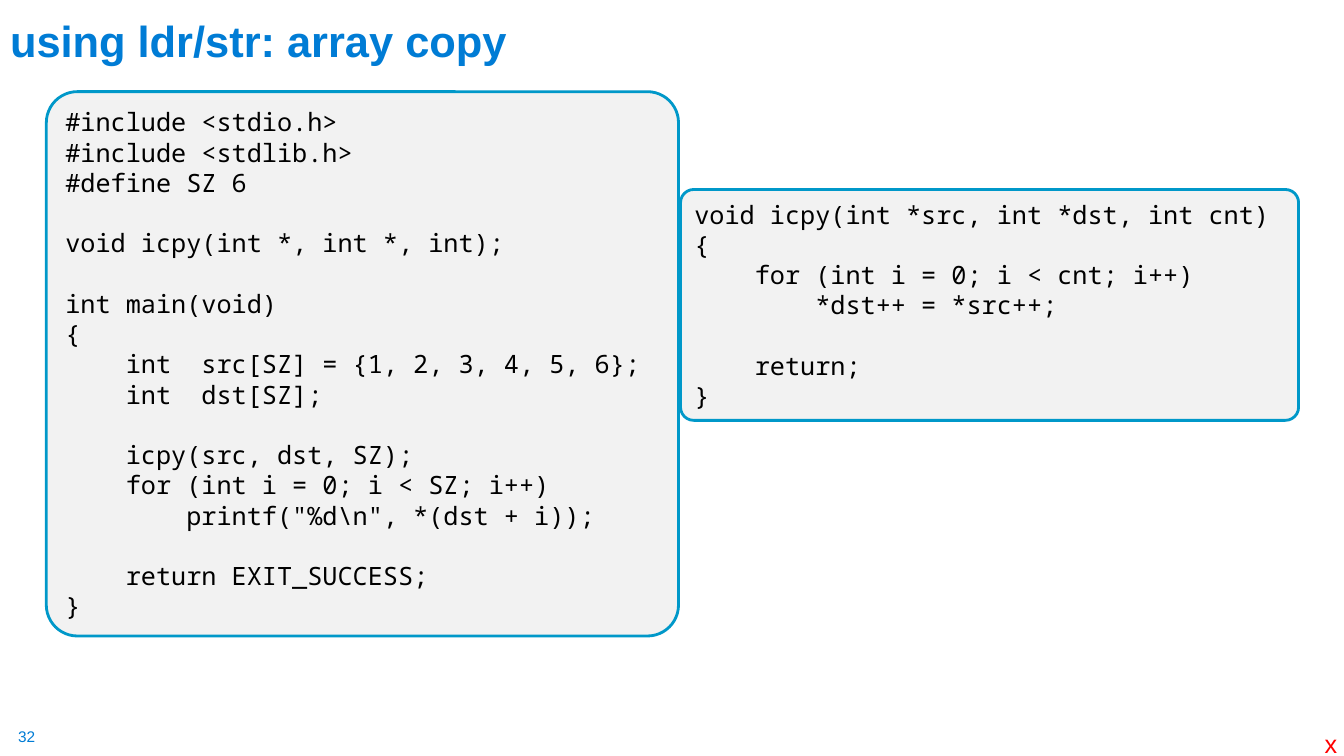
import pptx
import pptx.dml.color
import pptx.enum.shapes
import pptx.enum.text
import pptx.util
from pptx.util import Inches

MAIN_CODE = r"""#include <stdio.h>
#include <stdlib.h>
#define SZ 6

void icpy(int *, int *, int);

int main(void)
{
    int  src[SZ] = {1, 2, 3, 4, 5, 6};
    int  dst[SZ];

    icpy(src, dst, SZ);
    for (int i = 0; i < SZ; i++)
        printf("%d\n", *(dst + i));

    return EXIT_SUCCESS;
}"""

COPY_CODE = """void icpy(int *src, int *dst, int cnt)
{
    for (int i = 0; i < cnt; i++)
        *dst++ = *src++;

    return;
}"""


def rgb(value):
    return pptx.dml.color.RGBColor.from_string(value)


def write(frame, text, *, size, color, font="Arial", bold=False, pitch=None):
    """Write one paragraph per line; an empty line becomes space before the next."""
    paragraph = frame.paragraphs[0]
    gap = 0
    for number, line in enumerate(text.split("\n")):
        if not line:
            gap += pitch
            continue
        if number:
            paragraph = frame.add_paragraph()
        paragraph.alignment = pptx.enum.text.PP_ALIGN.LEFT
        paragraph.space_before = pptx.util.Pt(gap)
        if pitch:
            paragraph.line_spacing = pptx.util.Pt(pitch)
        run = paragraph.add_run()
        run.text = line
        run.font.name = font
        run.font.size = pptx.util.Pt(size)
        run.font.bold = bold
        run.font.color.rgb = rgb(color)
        gap = 0


class CodeSlide:
    BLUE, EDGE, PANEL, BLACK, RED = "007CD5", "0098C9", "F2F2F2", "000000", "FF0000"
    CODE_FONT, CODE_SIZE, CODE_PITCH = "Noto Sans Mono", 18, 21.6

    def __init__(self, presentation):
        self.slide = presentation.slides.add_slide(presentation.slide_layouts[5])

    def title(self, text, left, top, width, height):
        heading = self.slide.shapes.title
        heading.left, heading.top = Inches(left), Inches(top)
        heading.width, heading.height = Inches(width), Inches(height)
        frame = heading.text_frame
        frame.auto_size = pptx.enum.text.MSO_AUTO_SIZE.NONE
        frame.vertical_anchor = pptx.enum.text.MSO_ANCHOR.BOTTOM
        write(frame, text, size=31, color=self.BLUE, bold=True)

    def code_panel(self, code, left, top, width, height):
        panel = self.slide.shapes.add_shape(
            pptx.enum.shapes.MSO_SHAPE.ROUNDED_RECTANGLE,
            Inches(left), Inches(top), Inches(width), Inches(height))
        panel.adjustments[0] = 0.057
        panel.shadow.inherit = False
        panel.fill.solid()
        panel.fill.fore_color.rgb = rgb(self.PANEL)
        panel.line.color.rgb = rgb(self.EDGE)
        panel.line.width = pptx.util.Pt(2)
        frame = panel.text_frame
        frame.word_wrap = True
        frame.vertical_anchor = pptx.enum.text.MSO_ANCHOR.MIDDLE
        write(frame, code, size=self.CODE_SIZE, color=self.BLACK,
              font=self.CODE_FONT, pitch=self.CODE_PITCH)

    def label(self, text, left, top, width, height, *, inset=(0.1, 0.05), **style):
        box = self.slide.shapes.add_textbox(
            Inches(left), Inches(top), Inches(width), Inches(height))
        frame = box.text_frame
        frame.word_wrap = False
        frame.margin_left = frame.margin_right = Inches(inset[0])
        frame.margin_top = frame.margin_bottom = Inches(inset[1])
        write(frame, text, **style)


def main():
    presentation = pptx.Presentation()
    presentation.slide_width = Inches(13.33)
    presentation.slide_height = Inches(7.5)
    page = CodeSlide(presentation)

    # Heading
    page.title("using ldr/str: array copy", 0, 0.23, 10.72, 0.48)

    # Calling program and copy function
    page.code_panel(MAIN_CODE, 0.46, 0.91, 6.27, 5.4)
    page.code_panel(COPY_CODE, 6.75, 1.88, 6.13, 2.29)

    # Page number and corner mark
    page.label("32", 0.18, 7.21, 0.19, 0.19, inset=(0, 0), size=11, color=page.BLUE)
    page.label("x", 13.04, 7.18, 0.33, 0.4, size=18, color=page.RED)

    presentation.save("out.pptx")


if __name__ == "__main__":
    main()
